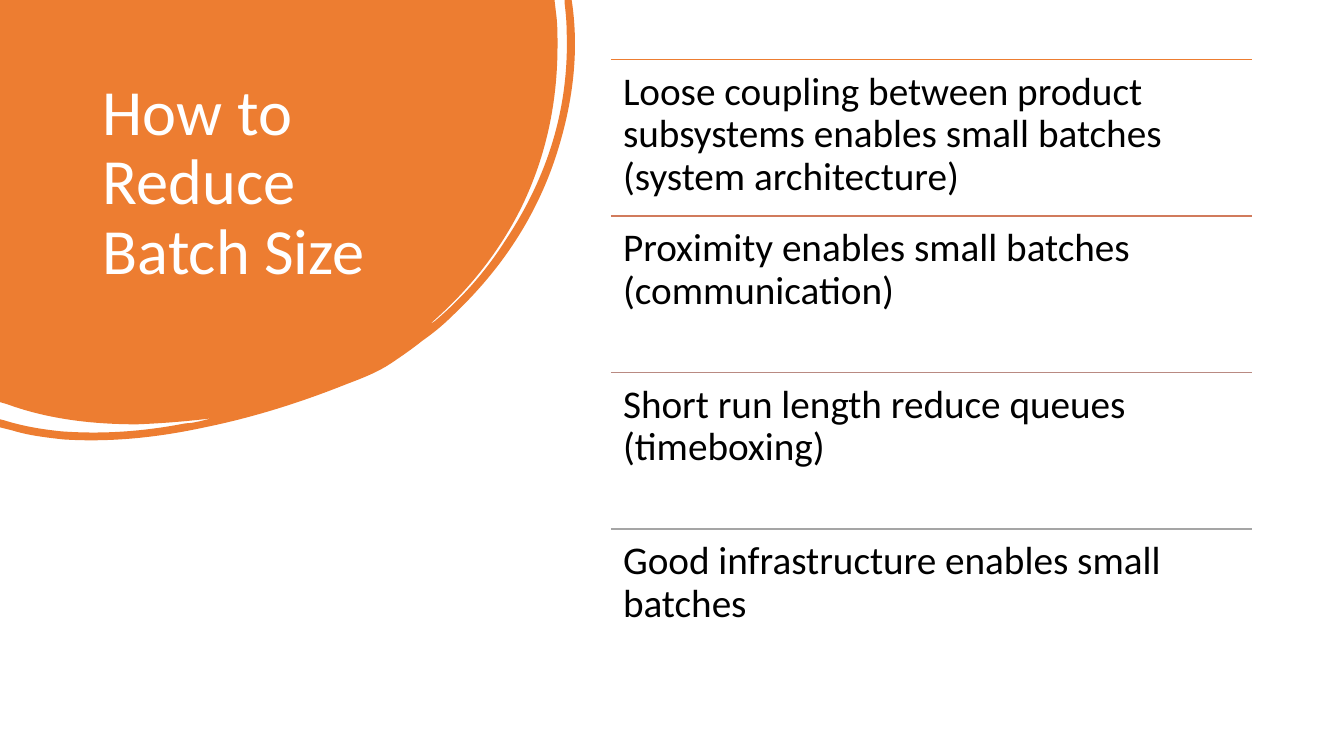
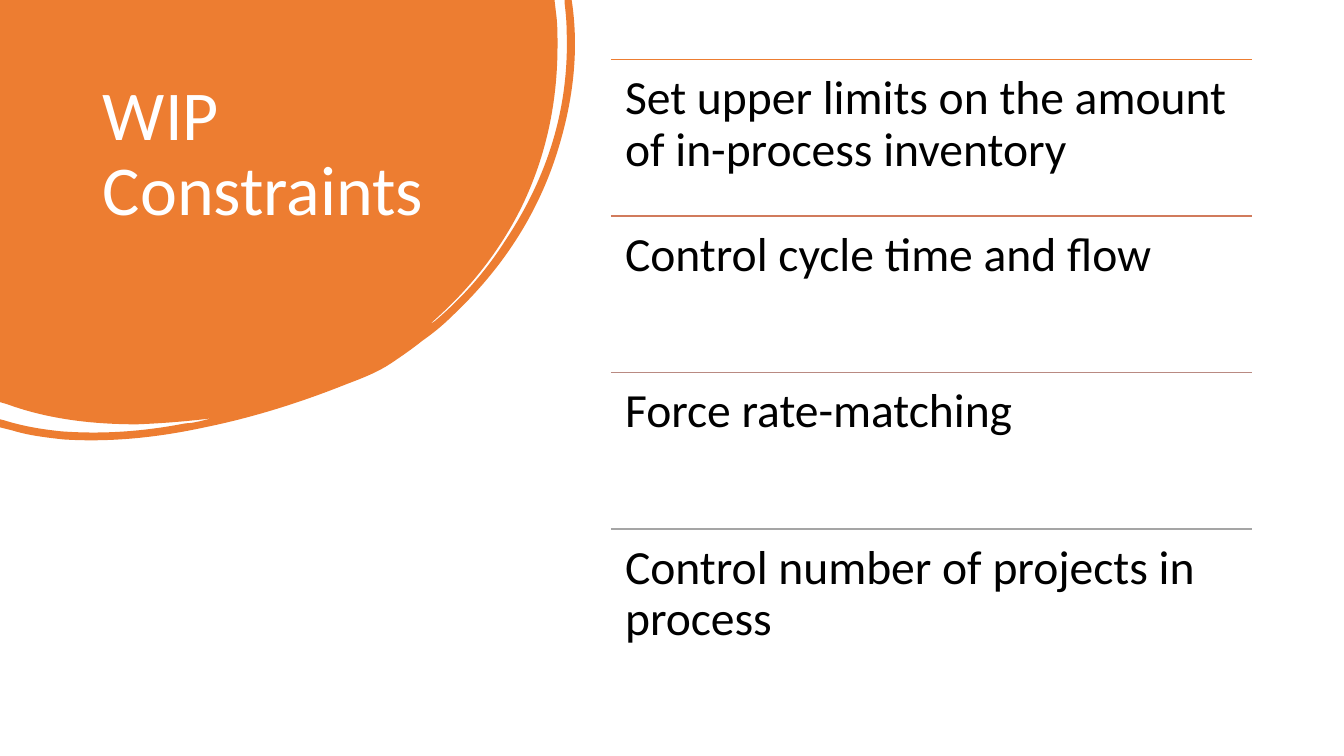
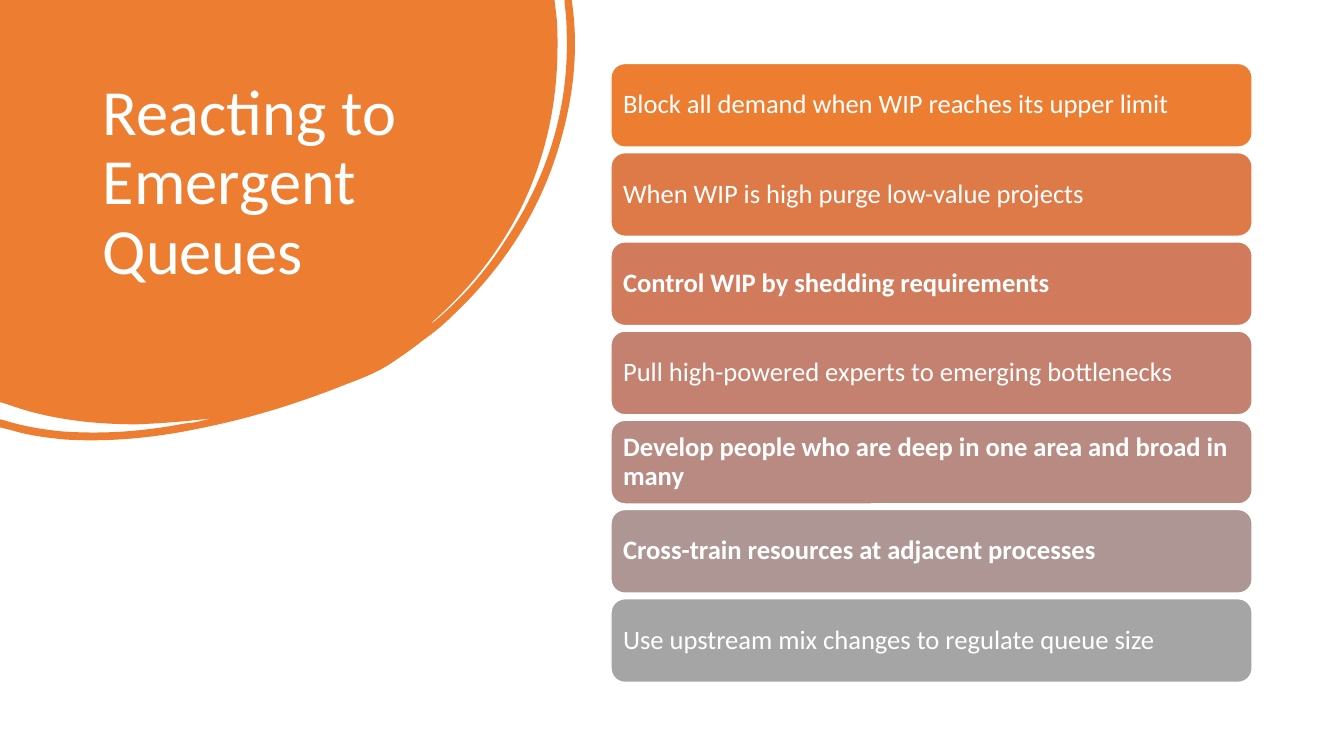
from lxml.etree import SubElement
from pptx import Presentation
from pptx.dml.color import RGBColor
from pptx.enum.shapes import MSO_CONNECTOR as Connector, MSO_SHAPE as Shape
from pptx.enum.text import MSO_ANCHOR as Anchor, MSO_AUTO_SIZE as AutoSize, PP_ALIGN as Align
from pptx.oxml.ns import qn
from pptx.util import Inches, Pt

FONT = "Calibri"
ORANGE, WHITE, BLACK = "ED7D31", "FFFFFF", "000000"
FADE = [ORANGE, "DE7A47", "D17B5C", "C48170", "B98A82", "AE9694", "A5A5A5"]

# title, title size, item size, item inset, items
RULED_SLIDES = [
    ("How to Reduce Batch Size", 46, 28, 0.12, [
        "Loose coupling between product subsystems enables small batches (system architecture)",
        "Proximity enables small batches (communication)",
        "Short run length reduce queues (timeboxing)",
        "Good infrastructure enables small batches",
    ]),
    ("WIP Constraints", 50, 34, 0.14, [
        "Set upper limits on the amount of in-process inventory",
        "Control cycle time and flow",
        "Force rate-matching",
        "Control number of projects in process",
    ]),
]
# text, bold
REACTIONS = [
    ("Block all demand when WIP reaches its upper limit", False),
    ("When WIP is high purge low-value projects", False),
    ("Control WIP by shedding requirements", True),
    ("Pull high-powered experts to emerging bottlenecks", False),
    ("Develop people who are deep in one area and broad in many", True),
    ("Cross-train resources at adjacent processes", True),
    ("Use upstream mix changes to regulate queue size", False),
]

SLIDE_SIZE = 13.33, 7.5
TITLE_BOX = 0.92, 0.74, 3.52, 2.22
LIST_LEFT, LIST_WIDTH = 6.06, 6.36
RULES_TOP, RULES_HEIGHT = 0.59, 6.21
CARDS_TOP, CARDS_BOTTOM, CARD_HEIGHT = 0.63, 6.77, 0.83

# Blob outline in hundredths of an inch: two numbers are a line, six a Bézier curve
BLOB_WIDTH, BLOB_HEIGHT = 571, 437
BLOB = [
    (0, 0), (550, 0), (552, 17),
    (553, 26, 553, 36, 553, 45),
    (553, 101, 542, 154, 518, 204),
    (496, 249, 465, 288, 427, 321),
    (429, 321, 430, 319, 432, 318),
    (459, 295, 482, 269, 501, 239),
    (543, 176, 565, 107, 562, 30),
    (562, 21, 561, 12, 560, 3),
    (560, 0), (567, 0), (568, 7),
    (574, 54, 568, 102, 553, 150),
    (533, 214, 497, 268, 448, 314),
    (439, 323, 429, 331, 419, 338),
    (409, 346, 399, 353, 387, 361),
    (375, 369, 360, 375, 344, 381),
    (299, 399, 252, 414, 203, 424),
    (157, 434, 110, 439, 63, 436),
    (45, 434, 28, 432, 12, 427),
    (0, 424), (0, 416), (4, 417),
    (23, 423, 42, 426, 61, 428),
    (103, 431, 143, 428, 184, 420),
    (189, 420, 193, 419, 198, 418),
    (202, 417, 206, 416, 210, 415),
    (186, 418, 161, 420, 136, 421),
    (92, 421, 48, 416, 7, 401),
    (0, 399),
]


def rgb(hex_colour):
    return RGBColor.from_string(hex_colour)


def inches(*lengths):
    return [Inches(length) for length in lengths]


def write(holder, text, size, colour, anchor=Anchor.TOP, margins=(0.1, 0.05), bold=False):
    """Set one left-aligned paragraph; margins are (sides, top and bottom)."""
    frame = holder.text_frame
    frame.word_wrap = True
    frame.auto_size = AutoSize.NONE
    frame.vertical_anchor = anchor
    frame.margin_left = frame.margin_right = Inches(margins[0])
    frame.margin_top = frame.margin_bottom = Inches(margins[1])
    frame.text = text
    paragraph = frame.paragraphs[0]
    paragraph.alignment = Align.LEFT
    paragraph.line_spacing = 0.9
    font = paragraph.font
    font.name, font.size, font.bold = FONT, Pt(size), bold
    font.color.rgb = rgb(colour)


def add_blob(slide):
    pen = slide.shapes.build_freeform(0, 0, scale=Inches(1) / 100)
    pen.add_line_segments([(BLOB_WIDTH, 0), (BLOB_WIDTH, BLOB_HEIGHT), (0, BLOB_HEIGHT)])
    blob = pen.convert_to_shape()
    blob.shadow.inherit = False
    blob.fill.solid()
    blob.fill.fore_color.rgb = rgb(ORANGE)
    blob.line.fill.background()

    # The freeform builder has no curves, so its frame's outline is redrawn here
    outline = next(blob._element.iter(qn("a:path")))
    for side in list(outline):
        outline.remove(side)
    for index, numbers in enumerate(BLOB):
        tag = "a:moveTo" if index == 0 else "a:lnTo" if len(numbers) == 2 else "a:cubicBezTo"
        segment = SubElement(outline, qn(tag))
        for x, y in zip(numbers[::2], numbers[1::2]):
            SubElement(segment, qn("a:pt"), x=str(x), y=str(y))
    SubElement(outline, qn("a:close"))
    return blob


def add_titled_slide(deck, text, size):
    slide = deck.slides.add_slide(deck.slide_layouts[5])
    title = slide.shapes.title
    title.left, title.top, title.width, title.height = inches(*TITLE_BOX)
    write(title, text, size, WHITE)
    title._element.addprevious(add_blob(slide)._element)
    return slide


def add_rule(slide, top, colour):
    rule = slide.shapes.add_connector(
        Connector.STRAIGHT, *inches(LIST_LEFT, top, LIST_LEFT + LIST_WIDTH, top))
    rule.line.color.rgb = rgb(colour)
    rule.line.width = Pt(1)
    SubElement(rule._element.spPr, qn("a:effectLst"))


def add_ruled_list(slide, items, size, inset):
    row_height = RULES_HEIGHT / len(items)
    for row, (item, colour) in enumerate(zip(items, FADE[::2])):
        top = RULES_TOP + row * row_height
        add_rule(slide, top, colour)
        entry = slide.shapes.add_textbox(*inches(LIST_LEFT, top, LIST_WIDTH, row_height))
        write(entry, item, size, BLACK, margins=(inset, inset))


def add_cards(slide, items):
    pitch = (CARDS_BOTTOM - CARD_HEIGHT - CARDS_TOP) / (len(items) - 1)
    for row, ((item, bold), colour) in enumerate(zip(items, FADE)):
        card = slide.shapes.add_shape(
            Shape.ROUNDED_RECTANGLE,
            *inches(LIST_LEFT, CARDS_TOP + row * pitch, LIST_WIDTH, CARD_HEIGHT))
        card.shadow.inherit = False
        card.fill.solid()
        card.fill.fore_color.rgb = rgb(colour)
        card.line.color.rgb = rgb(WHITE)
        card.line.width = Pt(1)
        write(card, item, 19, WHITE, Anchor.MIDDLE, (0.08, 0.08), bold)


def main():
    deck = Presentation()
    deck.slide_width, deck.slide_height = inches(*SLIDE_SIZE)
    for title, title_size, item_size, inset, items in RULED_SLIDES:
        add_ruled_list(add_titled_slide(deck, title, title_size), items, item_size, inset)
    add_cards(add_titled_slide(deck, "Reacting to Emergent Queues", 46), REACTIONS)
    deck.save("out.pptx")


if __name__ == "__main__":
    main()
